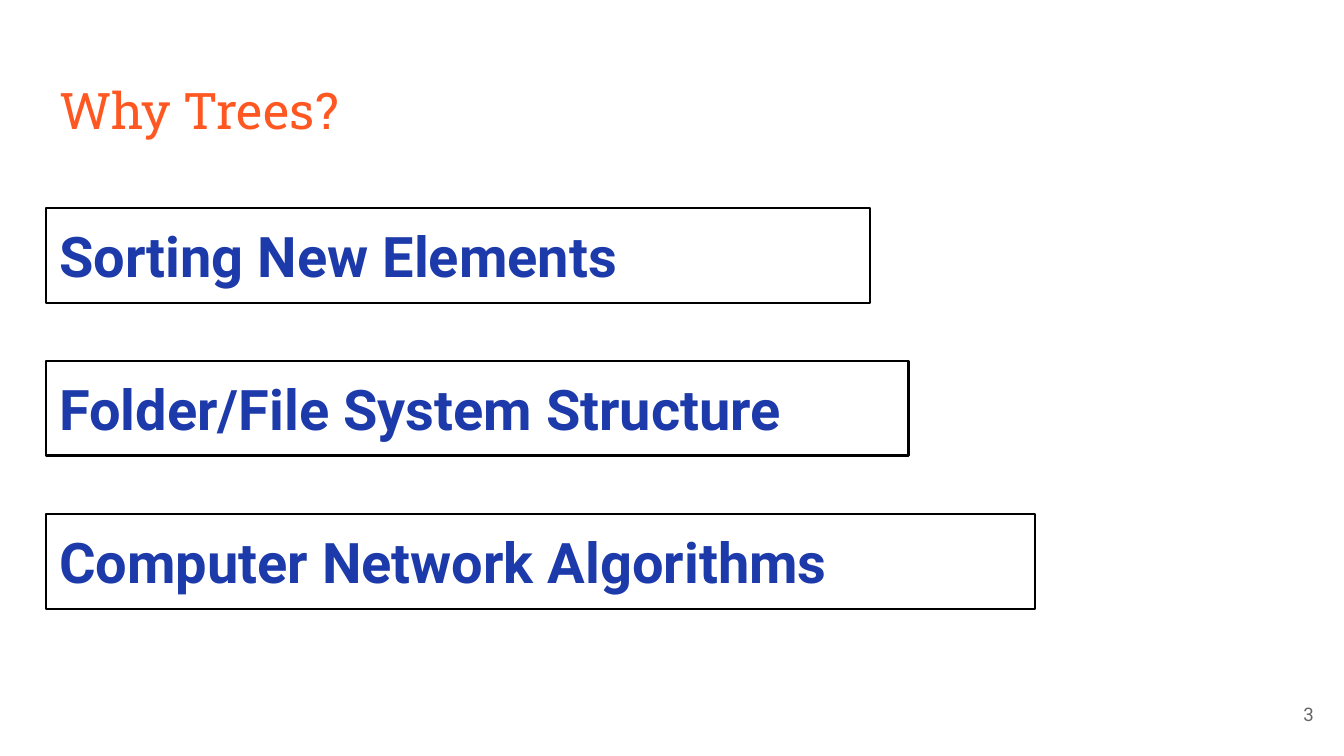
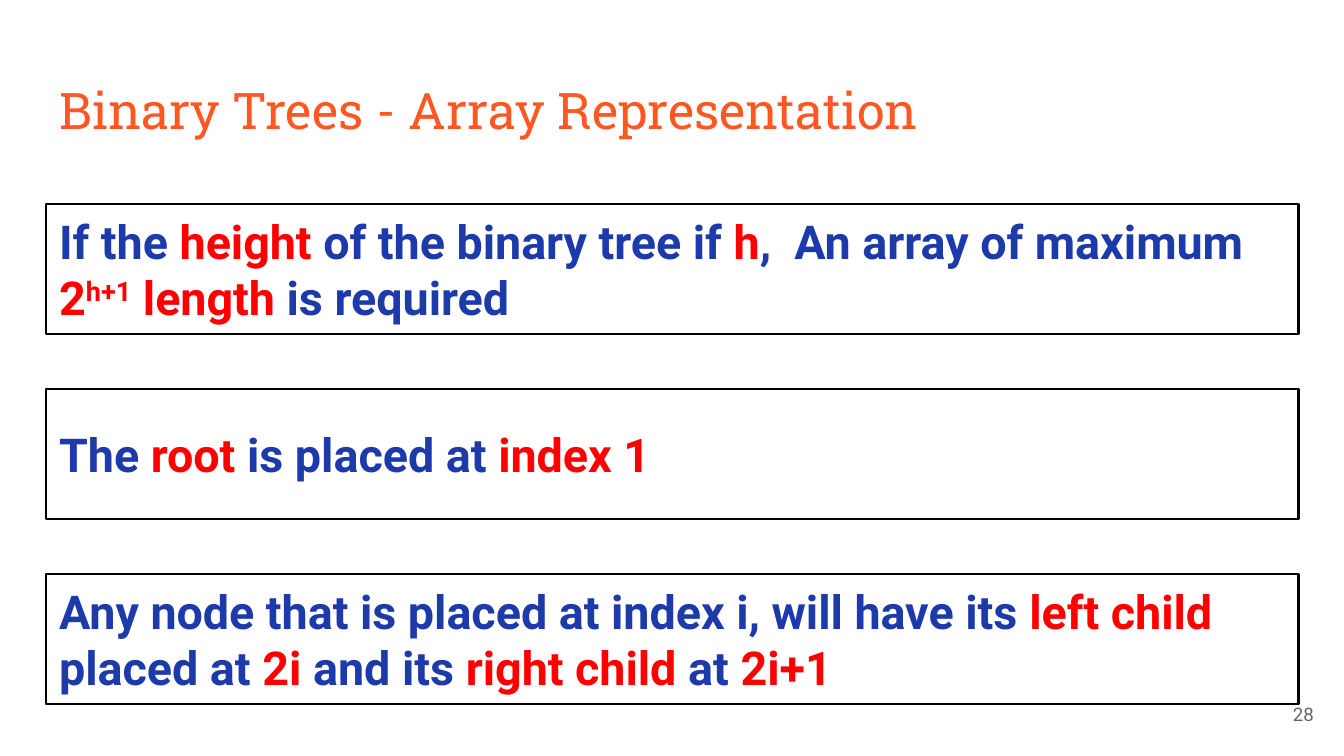
from dataclasses import dataclass

import pptx
import pptx.dml.color
import pptx.enum.shapes
import pptx.enum.text
import pptx.util

WIDE, HIGH = 1344, 756
SCALE = 9144000 / WIDE
INSET = pptx.util.Inches(0.1)
HUES = {
    "orange": "FF5722",
    "blue": "1C3AA9",
    "red": "FF0000",
    "black": "000000",
    "grey": "666666",
}
TOP = pptx.enum.text.MSO_ANCHOR.TOP
MID = pptx.enum.text.MSO_ANCHOR.MIDDLE
LEFT = pptx.enum.text.PP_ALIGN.LEFT
RIGHT = pptx.enum.text.PP_ALIGN.RIGHT


@dataclass(frozen=True)
class Run:
    """A stretch of text in one colour."""
    text: str
    hue: str = "blue"
    lift: int = 0


@dataclass(frozen=True)
class Style:
    """The type and placing of a text."""
    font: str
    size: int
    bold: bool = False
    anchor: pptx.enum.text.MSO_ANCHOR = TOP
    align: pptx.enum.text.PP_ALIGN = LEFT


@dataclass(frozen=True)
class Box:
    """A framed statement."""
    width: int
    runs: tuple[Run, ...]


@dataclass(frozen=True)
class Page:
    """A title, a column of boxes and a page number."""
    title: str
    number: int
    top: int
    step: int
    height: int
    style: Style
    boxes: tuple[Box, ...]


HEAD = Style("Roboto Slab", 27)
FOOT = Style("Roboto", 10, anchor=MID, align=RIGHT)
TOPIC = Style("Roboto", 30, bold=True)
RULE = Style("Roboto", 25, bold=True, anchor=MID)
MARGIN, FULL = 46, 1253

PAGES = (
    Page("Why Trees?", 3, 208, 153, 95, TOPIC, (
        Box(824, (Run("Sorting New Elements"),)),
        Box(863, (Run("Folder/File System Structure"),)),
        Box(989, (Run("Computer Network Algorithms"),)),
    )),
    Page("Binary Trees - Array Representation", 28, 204, 185, 130, RULE, (
        Box(FULL, (
            Run("If the "), Run("height", "red"),
            Run(" of the binary tree if "), Run("h", "red"),
            Run(",  An array of maximum "), Run("2", "red"),
            Run("h+1", "red", 30), Run(" length", "red"),
            Run(" is required"),
        )),
        Box(FULL, (
            Run("The "), Run("root ", "red"),
            Run("is placed at "), Run("index 1", "red"),
        )),
        Box(FULL, (
            Run("Any node that is placed at index i, will have its "),
            Run("left child", "red"), Run(" placed at "), Run("2i", "red"),
            Run(" and its "), Run("right child", "red"),
            Run(" at "), Run("2i+1", "red"),
        )),
    )),
)


def px(*sizes: int) -> list[pptx.util.Emu]:
    """Turn px into EMU."""
    return [pptx.util.Emu(round(size * SCALE)) for size in sizes]


def shade(hue: str) -> pptx.dml.color.RGBColor:
    """Look up a named colour."""
    return pptx.dml.color.RGBColor.from_string(HUES[hue])


def write(shape, runs: tuple[Run, ...], style: Style) -> None:
    """Fill a shape with one styled paragraph."""
    frame = shape.text_frame
    frame.word_wrap = True
    frame.vertical_anchor = style.anchor
    frame.margin_left = frame.margin_right = INSET
    frame.margin_top = frame.margin_bottom = INSET
    para = frame.paragraphs[0]
    para.alignment = style.align
    para.font.name = style.font
    para.font.size = pptx.util.Pt(style.size)
    para.font.bold = style.bold
    same = len({run.hue for run in runs}) == 1
    if same:
        para.font.color.rgb = shade(runs[0].hue)
    for run in runs:
        part = para.add_run()
        part.text = run.text
        if not same:
            part.font.color.rgb = shade(run.hue)
        if run.lift:
            part._r.get_or_add_rPr().set("baseline", str(run.lift * 1000))


def label(slide, spot: tuple[int, ...], run: Run, style: Style) -> None:
    """Place a plain text."""
    write(slide.shapes.add_textbox(*px(*spot)), (run,), style)


def frame(slide, spot: tuple[int, ...], box: Box, style: Style) -> None:
    """Place a text in a black outline."""
    kind = pptx.enum.shapes.MSO_SHAPE.RECTANGLE
    shape = slide.shapes.add_shape(kind, *px(*spot))
    shape.shadow.inherit = False
    shape.fill.background()
    shape.line.color.rgb = shade("black")
    shape.line.width = pptx.util.Pt(1.5)
    write(shape, box.runs, style)


def draw(deck, page: Page) -> None:
    """Add one page to the deck."""
    slide = deck.slides.add_slide(deck.slide_layouts[6])
    label(slide, (MARGIN, 66, FULL, 85), Run(page.title, "orange"), HEAD)
    for row, box in enumerate(page.boxes):
        top = page.top + row * page.step
        frame(slide, (MARGIN, top, box.width, page.height), box, page.style)
    label(slide, (1246, 685, 81, 58), Run(str(page.number), "grey"), FOOT)


def main() -> None:
    """Build and save the deck."""
    deck = pptx.Presentation()
    deck.slide_width, deck.slide_height = px(WIDE, HIGH)
    for page in PAGES:
        draw(deck, page)
    deck.save("out.pptx")


if __name__ == "__main__":
    main()
